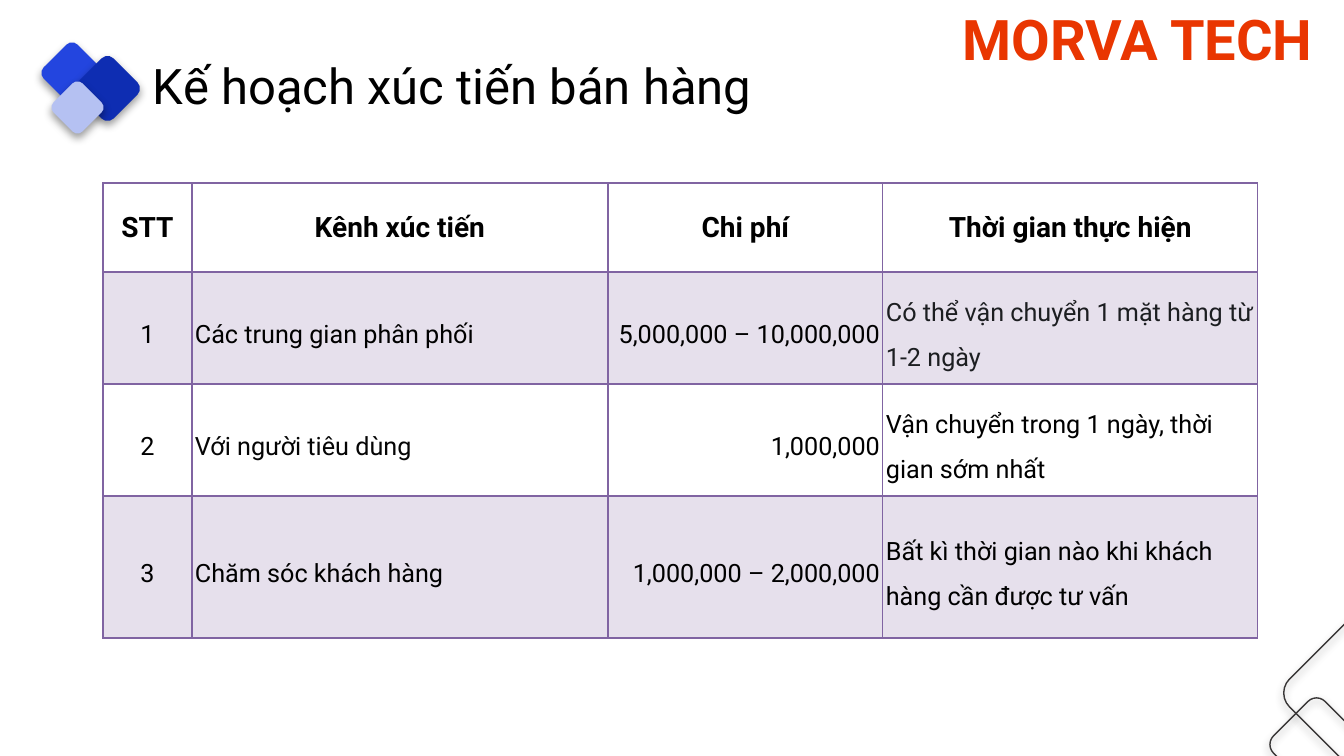
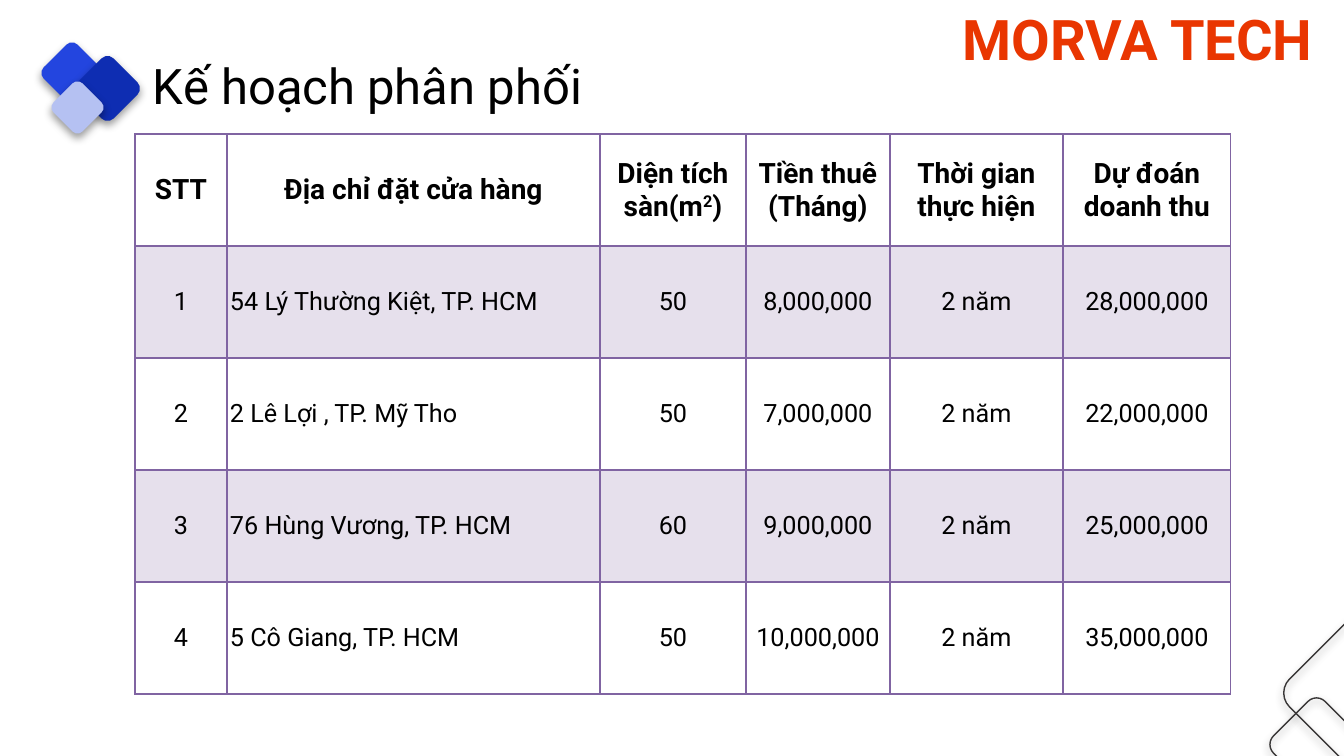
from dataclasses import dataclass
from lxml.etree import SubElement as Sub
from pptx import Presentation
from pptx.dml.color import RGBColor as Rgb
from pptx.enum.shapes import MSO_SHAPE as Geo
from pptx.enum.text import MSO_ANCHOR as Anchor, PP_ALIGN as Align
from pptx.oxml.ns import qn
from pptx.util import Pt


@dataclass(frozen=True)
class Theme:
    font: str = "Roboto"
    text: str = "000000"
    brand: str = "E93601"
    edge: str = "8064A2"
    band: str = "E6E0EC"
    wire: str = "393737"
    shade: str = "000000"
    brand_size: int = 40
    title_size: int = 35
    head_size: int = 20
    body_size: int = 18


T = Theme()
BRAND = "MORVA TECH"
GEMS = [
    (48, 49, 48, "2345DF"),
    (82, 63, 51, "0E2DB2"),
    (57, 87, 41, "B5C1F2"),
    (1280, 708, 73, None),
    (1300, 634, 118, None),
]
PLANS = [
    dict(
        title="Kế hoạch xúc tiến bán hàng",
        at=(103, 183),
        cols=[89, 416, 275, 375],
        rows=[89, 112, 112, 142],
        align="clrl",
        gap=1.5,
        tones={(1, 3): "1C1E21", (2, 1): "050505"},
        cells=[
            ("STT", "Kênh xúc tiến", "Chi phí", "Thời gian thực hiện"),
            ("1", "Các trung gian phân phối", "5,000,000 – 10,000,000",
             "Có thể vận chuyển 1 mặt hàng từ 1-2 ngày"),
            ("2", "Với người tiêu dùng", "1,000,000",
             "Vận chuyển trong 1 ngày, thời gian sớm nhất"),
            ("3", "Chăm sóc khách hàng", "1,000,000 – 2,000,000",
             "Bất kì thời gian nào khi khách hàng cần được tư vấn"),
        ],
    ),
    dict(
        title="Kế hoạch phân phối",
        at=(135, 134),
        cols=[92, 373, 146, 144, 173, 168],
        rows=[112] * 5,
        align="clcccc",
        gap=1.0,
        tones={},
        cells=[
            ("STT", "Địa chỉ đặt cửa hàng", "Diện tích sàn(m^2^)",
             "Tiền thuê (Tháng)", "Thời gian thực hiện", "Dự đoán doanh thu"),
            ("1", "54 Lý Thường Kiệt, TP. HCM", "50", "8,000,000", "2 năm", "28,000,000"),
            ("2", "2 Lê Lợi , TP. Mỹ Tho", "50", "7,000,000", "2 năm", "22,000,000"),
            ("3", "76 Hùng Vương, TP. HCM", "60", "9,000,000", "2 năm", "25,000,000"),
            ("4", "5 Cô Giang, TP. HCM", "50", "10,000,000", "2 năm", "35,000,000"),
        ],
    ),
]
SIDES = {"l": Align.LEFT, "c": Align.CENTER, "r": Align.RIGHT}


def px(n):
    return round(n * 914400 / 100.8)


def write(par, text, size, tone=T.text, bold=False):
    for i, part in enumerate(text.split("^")):
        run = par.add_run()
        run.text = part
        font = run.font
        font.name, font.size, font.bold = T.font, Pt(size), bold
        font.color.rgb = Rgb.from_string(tone)
        if i % 2:
            font._element.set("baseline", "30000")


def label(slide, box, text, size, **look):
    frame = slide.shapes.add_textbox(*map(px, box)).text_frame
    frame.word_wrap = True
    write(frame.paragraphs[0], text, size, **look)


def shadow(shape):
    shape.shadow.inherit = False
    glow = shape._element.spPr.find(qn("a:effectLst"))
    drop = Sub(glow, qn("a:outerShdw"), blurRad=str(Pt(6)), dist=str(Pt(3)),
               dir="5400000", algn="t", rotWithShape="0")
    tint = Sub(drop, qn("a:srgbClr"), val=T.shade)
    Sub(tint, qn("a:alpha"), val="39000")


def gem(slide, x, y, side, tone):
    shape = slide.shapes.add_shape(Geo.ROUNDED_RECTANGLE, px(x), px(y), px(side), px(side))
    shape.rotation = 45
    if tone:
        shape.fill.solid()
        shape.fill.fore_color.rgb = Rgb.from_string(tone)
        shape.line.fill.background()
    else:
        shape.fill.background()
        shape.line.color.rgb = Rgb.from_string(T.wire)
        shape.line.width = Pt(1)
    shadow(shape)


def border(cell, widths):
    props = cell._tc.get_or_add_tcPr()
    for i, (side, width) in enumerate(widths.items()):
        line = props.makeelement(qn(f"a:ln{side}"), {"w": str(Pt(width))})
        fill = Sub(line, qn("a:solidFill"))
        Sub(fill, qn("a:srgbClr"), val=T.edge)
        props.insert(i, line)


def style(cell, row):
    cell.vertical_anchor = Anchor.MIDDLE
    cell.margin_left = cell.margin_right = px(3)
    cell.margin_top = cell.margin_bottom = 0
    if row % 2:
        cell.fill.solid()
        cell.fill.fore_color.rgb = Rgb.from_string(T.band)
    else:
        cell.fill.background()
    border(cell, {"L": 1, "R": 1, "T": 2 if row == 1 else 1, "B": 1 if row else 2})


def grid(slide, plan):
    cols, rows = plan["cols"], plan["rows"]
    box = (*plan["at"], sum(cols), sum(rows))
    table = slide.shapes.add_table(len(rows), len(cols), *map(px, box)).table
    table.first_row = table.horz_banding = False
    for col, width in zip(table.columns, cols):
        col.width = px(width)
    for r, line in enumerate(plan["cells"]):
        table.rows[r].height = px(rows[r])
        for c, text in enumerate(line):
            cell = table.cell(r, c)
            style(cell, r)
            par = cell.text_frame.paragraphs[0]
            par.alignment = SIDES[plan["align"][c]] if r else Align.CENTER
            par.line_spacing = plan["gap"] if r else 1.0
            write(par, text, T.body_size if r else T.head_size,
                  plan["tones"].get((r, c), T.text), bold=not r)


def base(deck, title):
    slide = deck.slides.add_slide(deck.slide_layouts[6])
    for item in GEMS:
        gem(slide, *item)
    label(slide, (953, 0, 391, 78), BRAND, T.brand_size, tone=T.brand, bold=True)
    label(slide, (143, 51, 970, 70), title, T.title_size)
    return slide


def main():
    deck = Presentation()
    deck.slide_width, deck.slide_height = px(1344), px(756)
    for plan in PLANS:
        grid(base(deck, plan["title"]), plan)
    deck.save("out.pptx")


if __name__ == "__main__":
    main()
